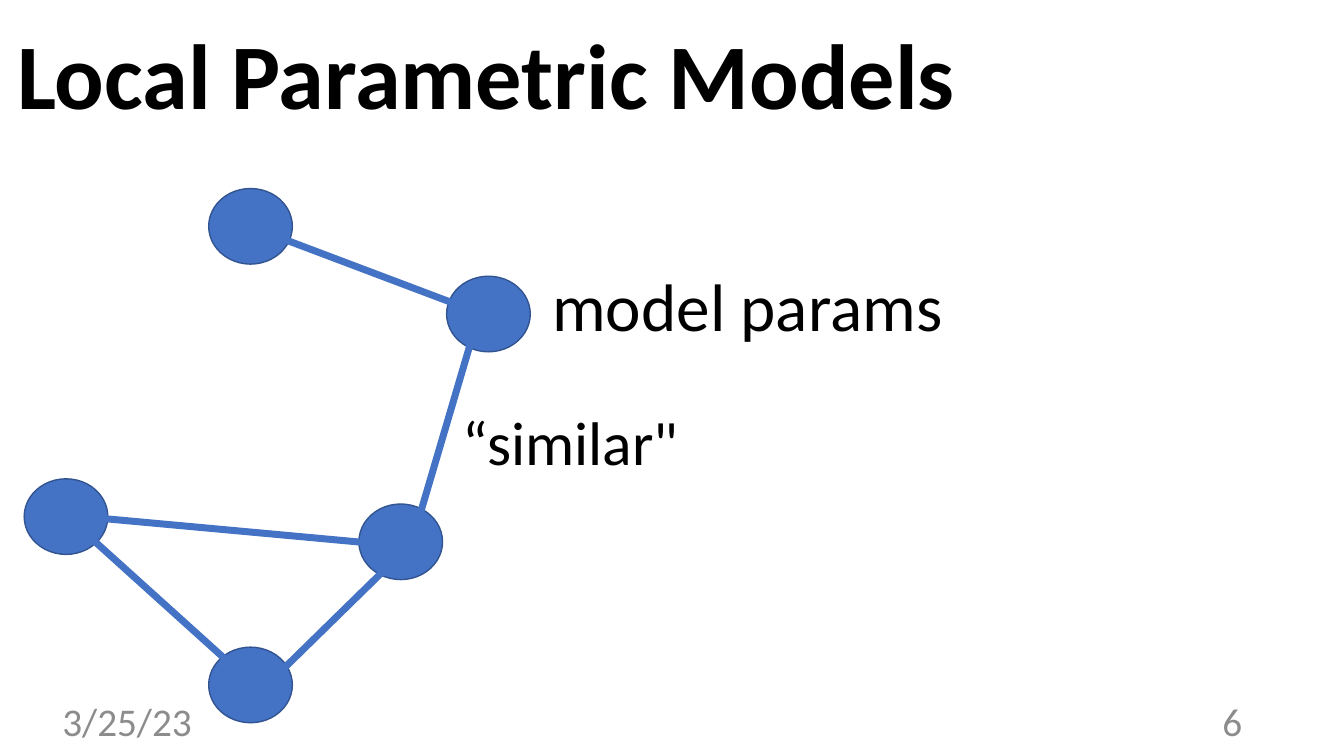
from dataclasses import dataclass

from lxml import etree
from pptx import Presentation
from pptx.dml.color import RGBColor
from pptx.enum.shapes import MSO_CONNECTOR, MSO_SHAPE
from pptx.enum.text import MSO_ANCHOR, MSO_AUTO_SIZE, PP_ALIGN
from pptx.oxml.ns import qn
from pptx.util import Emu, Pt

ELLIPSE = MSO_SHAPE.OVAL
STRAIGHT = MSO_CONNECTOR.STRAIGHT
TOP, MIDDLE = MSO_ANCHOR.TOP, MSO_ANCHOR.MIDDLE
LEFT, RIGHT = PP_ALIGN.LEFT, PP_ALIGN.RIGHT
FIT_SHAPE, NO_FIT = MSO_AUTO_SIZE.SHAPE_TO_FIT_TEXT, MSO_AUTO_SIZE.NONE
TITLE_ONLY = 5
EMU_PER_PX = 9144


@dataclass(frozen=True)
class Theme:
    font: str = "Calibri"
    text: str = "000000"
    muted: str = "8C8C8C"
    node: str = "4472C4"
    outline: str = "325491"
    title_size: int = 66
    params_size: int = 48
    similar_size: int = 44
    footer_size: int = 28
    outline_width: int = 1
    edge_width: int = 5


THEME = Theme()


def px(*lengths):
    return [Emu(length * EMU_PER_PX) for length in lengths]


def color(value):
    return RGBColor.from_string(value)


def write_text(shape, text, *, size, fill=THEME.text, bold=False, align=LEFT,
               anchor=TOP, wrap=False):
    frame = shape.text_frame
    frame.word_wrap = wrap
    frame.auto_size = NO_FIT if wrap else FIT_SHAPE
    frame.vertical_anchor = anchor
    paragraph = frame.paragraphs[0]
    paragraph.alignment = align
    run = paragraph.add_run()
    run.text = text
    run.font.name = THEME.font
    run.font.size = Pt(size)
    run.font.bold = bold
    run.font.color.rgb = color(fill)


def add_text(slide, box, text, **text_format):
    write_text(slide.shapes.add_textbox(*px(*box)), text, **text_format)


def add_title(slide, box, text):
    title = slide.shapes.title
    title.left, title.top, title.width, title.height = px(*box)
    write_text(title, text, size=THEME.title_size, bold=True)


def add_node(slide, box):
    node = slide.shapes.add_shape(ELLIPSE, *px(*box))
    node.shadow.inherit = False
    node.fill.solid()
    node.fill.fore_color.rgb = color(THEME.node)
    node.line.color.rgb = color(THEME.outline)
    node.line.width = Pt(THEME.outline_width)


def add_edge(slide, start, end):
    edge = slide.shapes.add_connector(STRAIGHT, *px(*start, *end))
    edge.line.color.rgb = color(THEME.node)
    edge.line.width = Pt(THEME.edge_width)
    etree.SubElement(edge._element.spPr, qn("a:effectLst"))


def add_graph(slide, box):
    left, top, _, _ = box
    node_width, node_height = 83, 75
    nodes = [(183, 0), (419, 87), (0, 288), (183, 455), (332, 313)]
    edges = [
        ((225, 38), (466, 129)),
        ((388, 339), (454, 115)),
        ((225, 508), (368, 368)),
        ((41, 324), (368, 354)),
        ((205, 472), (41, 324)),
    ]
    labels = [
        ((514, 70, 411, 91), "model params", THEME.params_size),
        ((425, 209, 237, 84), "“similar\"", THEME.similar_size),
    ]
    for x, y in nodes:
        add_node(slide, (left + x, top + y, node_width, node_height))
    for start, end in edges:
        add_edge(slide, *[(left + x, top + y) for x, y in (start, end)])
    for (x, y, width, height), text, size in labels:
        add_text(slide, (left + x, top + y, width, height), text, size=size)


def add_footer(slide, box, date, number):
    left, top, width, height = box
    field_width = 150
    fields = [(left, date, LEFT), (left + width - field_width, number, RIGHT)]
    for x, text, align in fields:
        add_text(slide, (x, top, field_width, height), text, align=align,
                 size=THEME.footer_size, fill=THEME.muted, anchor=MIDDLE,
                 wrap=True)


def main():
    presentation = Presentation()
    presentation.slide_width, presentation.slide_height = px(1333, 750)
    slide = presentation.slides.add_slide(
        presentation.slide_layouts[TITLE_ONLY])
    add_title(slide, (7, 12, 962, 121), "Local Parametric Models")
    add_graph(slide, (24, 187, 925, 530))
    add_footer(slide, (52, 695, 1190, 40), "3/25/23", "6")
    presentation.save("out.pptx")


if __name__ == "__main__":
    main()
